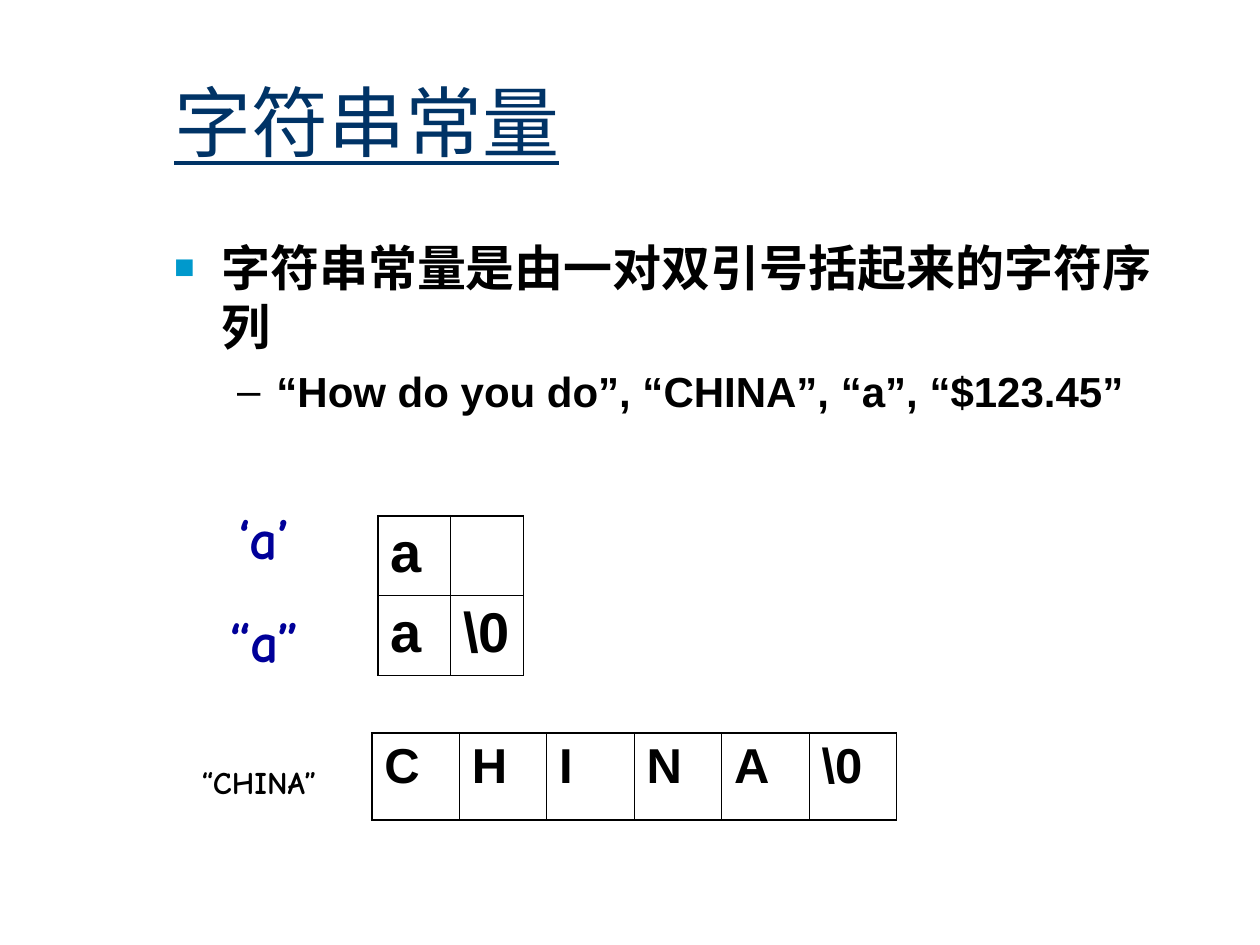
from lxml import etree
from pptx import Presentation
from pptx import util as u
from pptx.dml import color
from pptx.enum import text
from pptx.oxml import ns

Pt = u.Pt
COLORS = {"title": "003366", "bullet": "0099CC", "ink": "000000", "label": "000099"}


def add_run(p, words, size, font, ink, bold=True):
    r = p.add_run()
    r.text = words
    r.font.size = Pt(size)
    r.font.name = font
    r.font.bold = bold
    r.font.color.rgb = color.RGBColor.from_string(COLORS[ink])
    return r


def add_child(parent, tag, **attrs):
    """Append a DrawingML element with the given attributes."""
    return etree.SubElement(parent, ns.qn("a:" + tag), attrs)


prs = Presentation()
prs.slide_width, prs.slide_height = Pt(720), Pt(540)
s = prs.slides.add_slide(prs.slide_layouts[6])

# Title
sp = s.shapes.add_textbox(Pt(92.4), Pt(24), Pt(612), Pt(90))
tf = sp.text_frame
tf.word_wrap = True
tf.vertical_anchor = text.MSO_ANCHOR.MIDDLE
r = add_run(tf.paragraphs[0], "字符串常量", 44, "Comic Neue", "title", bold=False)
r.font.underline = True

# Definition and examples
sp = s.shapes.add_textbox(Pt(92.4), Pt(132), Pt(576), Pt(348))
tf = sp.text_frame
tf.word_wrap = True
bullets = [
    ("字符串常量是由一对双引号括起来的字符序列", 28, 0, 27, -27, "■", "bullet", 70, 0),
    ("“How do you do”, “CHINA”, “a”, “$123.45”", 24, 1, 58.5, -22.5, "–", "ink", 100, 6),
]
for i, (words, size, level, margin, indent, mark, ink, scale, before) in enumerate(bullets):
    p = tf.paragraphs[0] if i == 0 else tf.add_paragraph()
    p.level = level
    p.space_before = Pt(before)
    pPr = p._p.get_or_add_pPr()
    pPr.set("marL", str(Pt(margin)))
    pPr.set("indent", str(Pt(indent)))
    add_child(add_child(pPr, "buClr"), "srgbClr", val=COLORS[ink])
    add_child(pPr, "buSzPct", val=str(scale * 1000))
    add_child(pPr, "buFont", typeface="Arial")
    add_child(pPr, "buChar", char=mark)
    add_run(p, words, size, "Arial", "ink")

# Memory cells: left, top, cell width, cell height, text size, rows
grids = [
    (212.4, 419, 50, 49.5, 28, [["C", "H", "I", "N", "A", "\\0"]]),
    (216, 294.75, 41.6, 45.6, 32, [["a", ""], ["a", "\\0"]]),
]
for left, top, width, height, size, rows in grids:
    n_rows, n_cols = len(rows), len(rows[0])
    frame = s.shapes.add_table(n_rows, n_cols, Pt(left), Pt(top),
                               Pt(width * n_cols), Pt(height * n_rows))
    table = frame.table
    table.first_row = table.horz_banding = False
    for col in table.columns:
        col.width = Pt(width)
    for i, row in enumerate(rows):
        table.rows[i].height = Pt(height)
        for j, words in enumerate(row):
            cell = table.cell(i, j)
            outer = {"lnL": j == 0, "lnR": j == n_cols - 1,
                     "lnT": i == 0, "lnB": i == n_rows - 1}
            tcPr = cell._tc.get_or_add_tcPr()
            for side, is_outer in outer.items():
                ln = add_child(tcPr, side, w=str(Pt(1.08 if is_outer else 0.45)))
                add_child(add_child(ln, "solidFill"), "srgbClr", val=COLORS["ink"])
            cell.fill.background()
            if words:
                add_run(cell.text_frame.paragraphs[0], words, size, "Arial", "ink")

# Labels beside the memory cells: box, wrap, size, colour, lines
labels = [
    ((98, 284.4, 106, 104.4), True, 32, "label", ["‘a’", "“a”"]),
    ((98, 432.7, 100, 29), False, 18, "ink", ["“CHINA”"]),
]
for box, wrap, size, ink, lines in labels:
    sp = s.shapes.add_textbox(*map(Pt, box))
    tf = sp.text_frame
    tf.word_wrap = wrap
    tf.auto_size = text.MSO_AUTO_SIZE.SHAPE_TO_FIT_TEXT
    for i, words in enumerate(lines):
        p = tf.paragraphs[0] if i == 0 else tf.add_paragraph()
        p.alignment = text.PP_ALIGN.CENTER
        p.space_before = Pt(20 if i else 0)
        add_run(p, words, size, "Comic Neue", ink)

prs.save("out.pptx")
